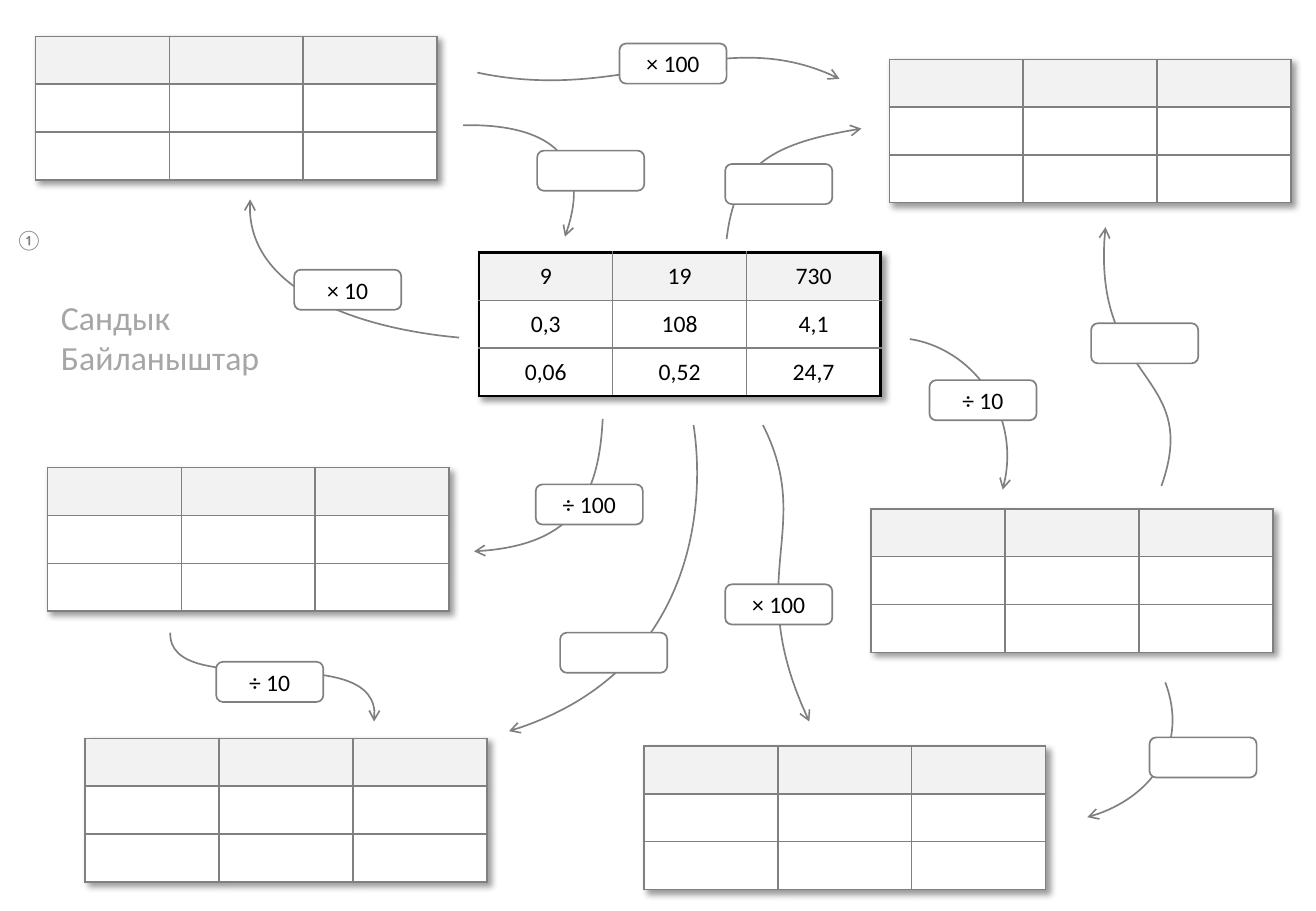
from lxml import etree
from pptx import Presentation
from pptx.dml.color import RGBColor
from pptx.enum.shapes import MSO_SHAPE
from pptx.enum.text import MSO_ANCHOR, MSO_AUTO_SIZE, PP_ALIGN
from pptx.oxml import parse_xml
from pptx.oxml.ns import nsdecls, qn
from pptx.util import Cm, Pt

ROUND = MSO_SHAPE.ROUNDED_RECTANGLE
MIDDLE, TOP = MSO_ANCHOR.MIDDLE, MSO_ANCHOR.TOP
CENTER, LEFT = PP_ALIGN.CENTER, PP_ALIGN.LEFT
NO_FIT = MSO_AUTO_SIZE.NONE

GRAY, BLACK, WHITE, HEAD, PALE = "808080", "000000", "FFFFFF", "F2F2F2", "A6A6A6"
COL, ROW = 2.8, 1.0
TAG_W, TAG_H = 2.24, 0.84

# Table places, left and top
MAIN = (10.01, 5.28)
GRIDS = [(0.74, 0.76), (18.59, 1.24), (18.21, 10.64),
         (13.46, 15.6), (1.78, 15.44), (0.99, 9.78)]
VALUES = [["9", "19", "730"], ["0,3", "108", "4,1"], ["0,06", "0,52", "24,7"]]
BLANK = [[""] * 3] * 3

# Arrow curves: start, two control points, end
ARROWS = [
    [(9.98, 1.52), (13.06, 2.18), (15.09, 0.43), (17.55, 1.65)],
    [(15.19, 5.0), (15.37, 3.51), (16.08, 3.0), (18.01, 2.69)],
    [(24.28, 10.16), (25.12, 7.8), (22.78, 8.05), (23.11, 4.75)],
    [(19.02, 7.09), (20.29, 7.29), (21.39, 8.69), (20.96, 10.24)],
    [(9.6, 7.06), (7.59, 6.88), (5.08, 6.07), (5.23, 4.17)],
    [(24.36, 14.27), (24.84, 15.54), (24.05, 16.74), (22.73, 17.09)],
    [(14.5, 8.89), (14.78, 10.72), (14.4, 14.15), (10.64, 15.29)],
    [(3.56, 13.23), (3.51, 14.68), (8.08, 13.26), (7.82, 15.09)],
    [(12.6, 8.76), (12.52, 10.41), (11.94, 11.43), (9.91, 11.53)],
    [(15.95, 8.89), (17.04, 11.05), (15.47, 12.04), (16.92, 15.09)],
    [(9.68, 2.62), (10.92, 2.59), (12.55, 2.95), (11.81, 4.95)],
]

# Arrow labels: left, top, text
TAGS = [
    (6.15, 5.64, "× 10"), (12.95, 0.91, "× 100"), (15.16, 3.43, ""),
    (22.81, 6.76, ""), (19.43, 7.95, "÷ 10"), (11.2, 10.13, "÷ 100"),
    (11.71, 13.23, ""), (15.16, 12.22, "× 100"), (24.03, 15.42, ""),
    (4.52, 13.84, "÷ 10"), (11.23, 3.15, ""),
]


def color(code):
    return RGBColor.from_string(code)


def bezier(pts, t):
    weights = ((1 - t) ** 3, 3 * t * (1 - t) ** 2, 3 * t * t * (1 - t), t ** 3)
    return [sum(w * p[i] for w, p in zip(weights, pts)) for i in (0, 1)]


class Sheet:
    font = "Calibri"

    def __init__(self, slide):
        self.slide = slide
        self.shapes = slide.shapes

    def label(self, para, text, size, code, align):
        para.text = text
        para.alignment = align
        para.font.name = self.font
        para.font.size = Pt(size)
        para.font.color.rgb = color(code)

    def outline(self, shape):
        shape.shadow.inherit = False
        shape.line.color.rgb = color(GRAY)
        shape.line.width = Pt(1)

    def border(self, cell, side, code, width):
        cell._tc.get_or_add_tcPr().append(parse_xml(
            f'<a:ln{side} {nsdecls("a")} w="{Pt(width)}"><a:solidFill>'
            f'<a:srgbClr val="{code}"/></a:solidFill></a:ln{side}>'))

    def grid(self, left, top, rows, frame=(GRAY, 1)):
        table = self.shapes.add_table(3, 3, Cm(left), Cm(top),
                                      Cm(3 * COL), Cm(3 * ROW)).table
        table.first_row = table.horz_banding = False
        table._tbl.tblPr.insert(0, parse_xml(
            f'<a:effectLst {nsdecls("a")}><a:outerShdw blurRad="50800" '
            'dist="38100" dir="2700000" algn="tl" rotWithShape="0">'
            '<a:srgbClr val="000000"><a:alpha val="40000"/></a:srgbClr>'
            '</a:outerShdw></a:effectLst>'))
        for r, row in enumerate(rows):
            table.rows[r].height = Cm(ROW)
            for c, text in enumerate(row):
                table.columns[c].width = Cm(COL)
                cell = table.cell(r, c)
                edges = {"L": c == 0, "R": c == 2, "T": r == 0, "B": r == 2}
                for side, outer in edges.items():
                    self.border(cell, side, *(frame if outer else (GRAY, 1)))
                cell.fill.solid()
                cell.fill.fore_color.rgb = color(WHITE if r else HEAD)
                cell.margin_left = cell.margin_right = 0
                cell.margin_top = cell.margin_bottom = 0
                cell.vertical_anchor = MIDDLE
                self.label(cell.text_frame.paragraphs[0], text, 14, BLACK, CENTER)

    def arrow(self, pts):
        # Sampled points give the bounds, then one cubic curve replaces them
        dots = [[Cm(v) for v in bezier(pts, i / 40)] for i in range(41)]
        pen = self.shapes.build_freeform(*dots[0])
        pen.add_line_segments(dots[1:], close=False)
        shape = pen.convert_to_shape()
        props = shape._element.spPr
        curve = props.find(".//" + qn("a:path"))
        for step in list(curve):
            curve.remove(step)
        move = etree.SubElement(curve, qn("a:moveTo"))
        cubic = etree.SubElement(curve, qn("a:cubicBezTo"))
        for node, (x, y) in zip((move, cubic, cubic, cubic), pts):
            etree.SubElement(node, qn("a:pt"), x=str(Cm(x) - shape.left),
                             y=str(Cm(y) - shape.top))
        shape.fill.background()
        self.outline(shape)
        etree.SubElement(props.find(qn("a:ln")), qn("a:tailEnd"), type="arrow")

    def tag(self, left, top, text):
        shape = self.shapes.add_shape(ROUND, Cm(left), Cm(top), Cm(TAG_W), Cm(TAG_H))
        shape.fill.solid()
        shape.fill.fore_color.rgb = color(WHITE)
        self.outline(shape)
        if text:
            frame = shape.text_frame
            frame.margin_left = frame.margin_right = 0
            frame.vertical_anchor = MIDDLE
            self.label(frame.paragraphs[0], text, 14, BLACK, CENTER)

    def place(self, shape, box, lines, size, code):
        shape.left, shape.top, shape.width, shape.height = map(Cm, box)
        frame = shape.text_frame
        frame.word_wrap = False
        frame.auto_size = NO_FIT
        frame.vertical_anchor = TOP
        for i, line in enumerate(lines):
            para = frame.add_paragraph() if i else frame.paragraphs[0]
            self.label(para, line, size, code, LEFT)

    def title(self, box, lines):
        self.place(self.shapes.title, box, lines, 20, PALE)

    def note(self, box, text):
        shape = self.shapes.add_textbox(*map(Cm, box))
        self.place(shape, box, [text], 12, GRAY)


def main():
    deck = Presentation()
    deck.slide_width, deck.slide_height = Cm(27.51), Cm(19.05)
    sheet = Sheet(deck.slides.add_slide(deck.slide_layouts[5]))

    # Title and sheet number
    sheet.title((1.02, 6.07, 4.7, 1.96), ["Сандык", "Байланыштар"])
    sheet.note((0.08, 4.62, 1.09, 0.76), "①")

    # Number tables
    sheet.grid(*MAIN, VALUES, (BLACK, 1.5))
    for spot in GRIDS:
        sheet.grid(*spot, BLANK)

    # Arrows with their labels on top
    for pts in ARROWS:
        sheet.arrow(pts)
    for item in TAGS:
        sheet.tag(*item)

    deck.save("out.pptx")


if __name__ == "__main__":
    main()
